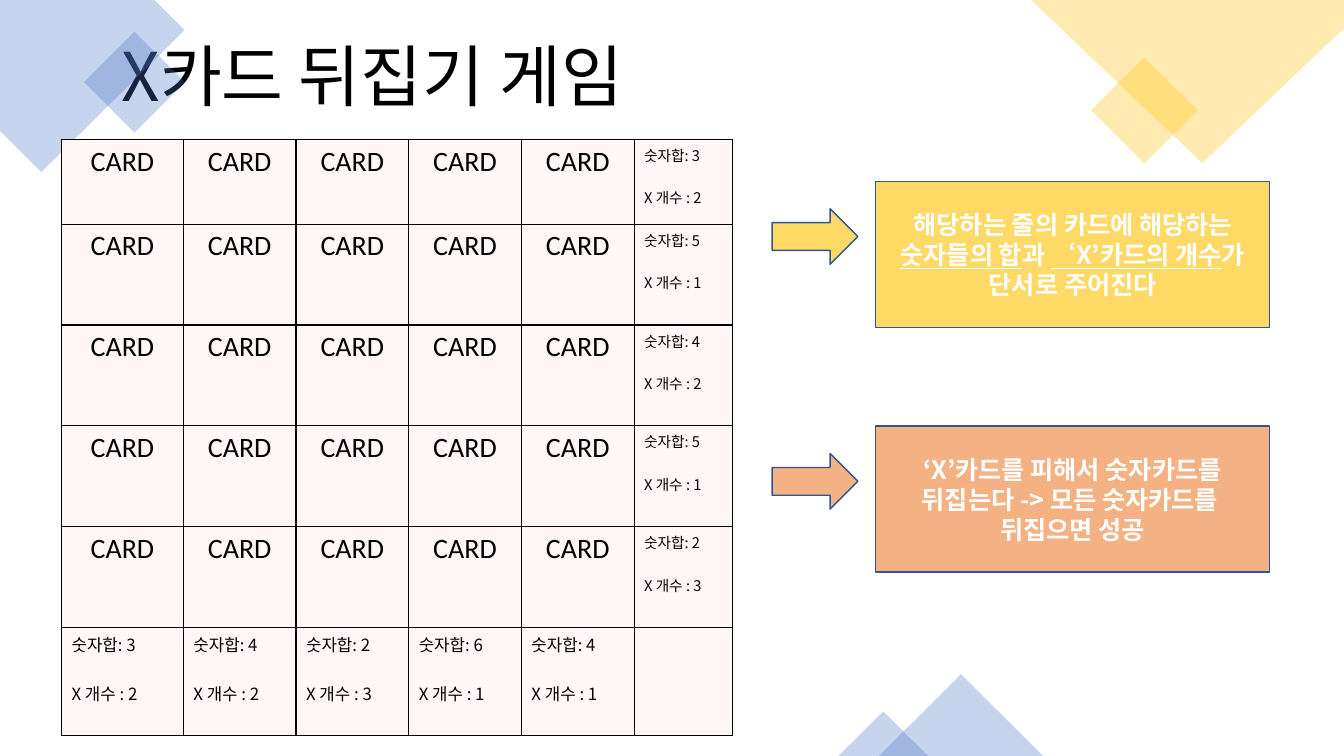
"""Builds the slide that explains the X card flipping game."""
import pptx
import pptx.dml.color
import pptx.enum.shapes
import pptx.enum.text
import pptx.oxml
import pptx.oxml.ns
import pptx.util

Cm = pptx.util.Cm
Pt = pptx.util.Pt
SHAPE = pptx.enum.shapes.MSO_SHAPE
ALIGN = pptx.enum.text.PP_ALIGN
ANCHOR = pptx.enum.text.MSO_ANCHOR
NAMESPACE = pptx.oxml.ns.nsdecls("a")
KOREAN = "Noto Sans CJK KR"
COLOURS = {
    "blue": "4472C4",
    "gold": "FFC000",
    "yellow": "FFD966",
    "orange": "F4B183",
    "outline": "325491",
    "cell": "FFF7F7",
    "black": "000000",
    "white": "FFFFFF",
}
ROW_CLUES = [(3, 2), (5, 1), (4, 2), (5, 1), (2, 3)]
COLUMN_CLUES = [(3, 2), (4, 2), (2, 3), (6, 1), (4, 1)]
COLUMN_WIDTHS = [3.07] + [2.84] * 4 + [2.48]
ROW_HEIGHTS = [2.14] + [2.54] * 4 + [2.72]
RULES = [
    ("yellow", 4.57, [[("해당하는 줄의 카드에 해당하는 ", False), ("숫자들의 합", True),
                       ("과 ", False), ("‘X’카드의 개수", True),
                       ("가 단서로 주어진다", False)]]),
    ("orange", 10.74, [[("‘X’카드를 피해서 숫자카드를 뒤집는다 -> 모든 숫자카드를 ", False)],
                       [("뒤집으면 성공", False)]]),
]


def paint(fill, colour, opacity=100):
    """Give a fill a solid colour with an opacity in percent."""
    fill.solid()
    fill.fore_color.rgb = pptx.dml.color.RGBColor.from_string(COLOURS[colour])
    if opacity < 100:
        colour_element = fill._xPr.find(".//" + pptx.oxml.ns.qn("a:srgbClr"))
        colour_element.append(pptx.oxml.parse_xml(
            f'<a:alpha {NAMESPACE} val="{opacity * 1000}"/>'))


def add_span(para, text, size, font=KOREAN, colour="black", bold=False, underline=False):
    """Add one formatted run to a paragraph."""
    span = para.add_run()
    span.text = text
    span.font.name = font
    span.font.size = Pt(size)
    span.font.bold = bold
    span.font.underline = underline
    paint(span.font.fill, colour)
    span.font._element.find(pptx.oxml.ns.qn("a:latin")).addnext(
        pptx.oxml.parse_xml(f'<a:ea {NAMESPACE} typeface="{font}"/>'))


def add_block(page, kind, left, top, width, height, colour, outlined=False, opacity=100):
    """Add a flat preset shape measured in centimetres."""
    block = page.shapes.add_shape(kind, Cm(left), Cm(top), Cm(width), Cm(height))
    block.shadow.inherit = False
    paint(block.fill, colour, opacity)
    if outlined:
        paint(block.line.fill, "outline")
        block.line.width = Pt(1)
    else:
        block.line.fill.background()
    return block


def add_corner(page, points, colour):
    """Add a translucent polygon at a slide corner."""
    corners = [(Cm(x), Cm(y)) for x, y in points]
    builder = page.shapes.build_freeform(*corners[0], scale=1.0)
    builder.add_line_segments(corners[1:], close=True)
    polygon = builder.convert_to_shape()
    polygon.shadow.inherit = False
    paint(polygon.fill, colour, 30)
    polygon.line.fill.background()


def add_decoration(page):
    """Add the translucent shapes around the slide edges."""
    add_corner(page, [(3.89, 0), (0, 0), (0, 3.3), (1.04, 4.34), (4.65, 0.76)], "blue")
    for left, top, side, colour in [(2.49, 1.17, 1.8, "blue"), (27.89, 1.83, 1.9, "gold")]:
        square = add_block(page, SHAPE.RECTANGLE, left, top, side, side, colour, opacity=30)
        square.rotation = 315
    add_corner(page, [(33.87, 0), (25.98, 0), (30.3, 4.11), (33.87, 0.71)], "gold")
    for left, top, width, height in [(22.15, 16.99, 4.14, 2.06), (21.13, 17.93, 2.26, 1.12)]:
        add_block(page, SHAPE.ISOSCELES_TRIANGLE, left, top, width, height, "blue", opacity=30)


def format_title(page):
    """Place and fill the title placeholder."""
    title = page.shapes.title
    title.left, title.top, title.width, title.height = Cm(1.5), Cm(-0.64), Cm(15.77), Cm(3.68)
    title.text_frame.word_wrap = True
    title.text_frame.vertical_anchor = ANCHOR.BOTTOM
    para = title.text_frame.paragraphs[0]
    para.alignment = ALIGN.CENTER
    para.line_spacing = 0.9
    add_span(para, "X카드 뒤집기 게임", 48)


def format_cell(cell):
    """Give a cell thin black borders and the pale fill."""
    properties = cell._tc.get_or_add_tcPr()
    for side in ("lnL", "lnR", "lnT", "lnB"):
        properties.append(pptx.oxml.parse_xml(
            f'<a:{side} {NAMESPACE} w="12700"><a:solidFill>'
            f'<a:srgbClr val="{COLOURS["black"]}"/></a:solidFill></a:{side}>'))
    paint(cell.fill, "cell")


def write_clue(cell, clue, size):
    """Write the number sum and X count of one line of cards."""
    total, count = clue
    frame = cell.text_frame
    add_span(frame.paragraphs[0], f"숫자합: {total}", size)
    para = frame.add_paragraph()
    para.space_before = Pt(size * 1.45)
    add_span(para, f"X 개수 : {count}", size)


def add_board(page):
    """Add the card grid with clues at the right and below."""
    frame = page.shapes.add_table(
        len(ROW_HEIGHTS), len(COLUMN_WIDTHS), Cm(1.55), Cm(3.51),
        Cm(sum(COLUMN_WIDTHS)), Cm(sum(ROW_HEIGHTS)))
    board = frame.table
    board.first_row = board.horz_banding = False
    for column, width in zip(board.columns, COLUMN_WIDTHS):
        column.width = Cm(width)
    for row, height in zip(board.rows, ROW_HEIGHTS):
        row.height = Cm(height)
    for cell in board.iter_cells():
        format_cell(cell)
    for row, clue in enumerate(ROW_CLUES):
        for column in range(len(COLUMN_CLUES)):
            para = board.cell(row, column).text_frame.paragraphs[0]
            para.alignment = ALIGN.CENTER
            add_span(para, "CARD", 20, "Calibri")
        write_clue(board.cell(row, len(COLUMN_CLUES)), clue, 10.5)
    for column, clue in enumerate(COLUMN_CLUES):
        write_clue(board.cell(len(ROW_CLUES), column), clue, 12)


def add_rule(page, colour, top, paragraphs):
    """Add an arrow and the box with one rule of the game."""
    add_block(page, SHAPE.RIGHT_ARROW, 19.46, top + 0.69, 2.16, 1.4, colour, outlined=True)
    box = add_block(page, SHAPE.RECTANGLE, 22.07, top, 9.93, 3.68, colour, outlined=True)
    frame = box.text_frame
    frame.word_wrap = True
    frame.vertical_anchor = ANCHOR.MIDDLE
    for index, spans in enumerate(paragraphs):
        para = frame.add_paragraph() if index else frame.paragraphs[0]
        para.alignment = ALIGN.CENTER
        for text, underline in spans:
            add_span(para, text, 18, colour="white", bold=True, underline=underline)


def main():
    """Build and save the deck."""
    deck = pptx.Presentation()
    deck.slide_width, deck.slide_height = Cm(33.87), Cm(19.05)
    page = deck.slides.add_slide(deck.slide_layouts[5])
    add_decoration(page)
    format_title(page)
    add_board(page)
    for colour, top, paragraphs in RULES:
        add_rule(page, colour, top, paragraphs)
    deck.save("out.pptx")


if __name__ == "__main__":
    main()
